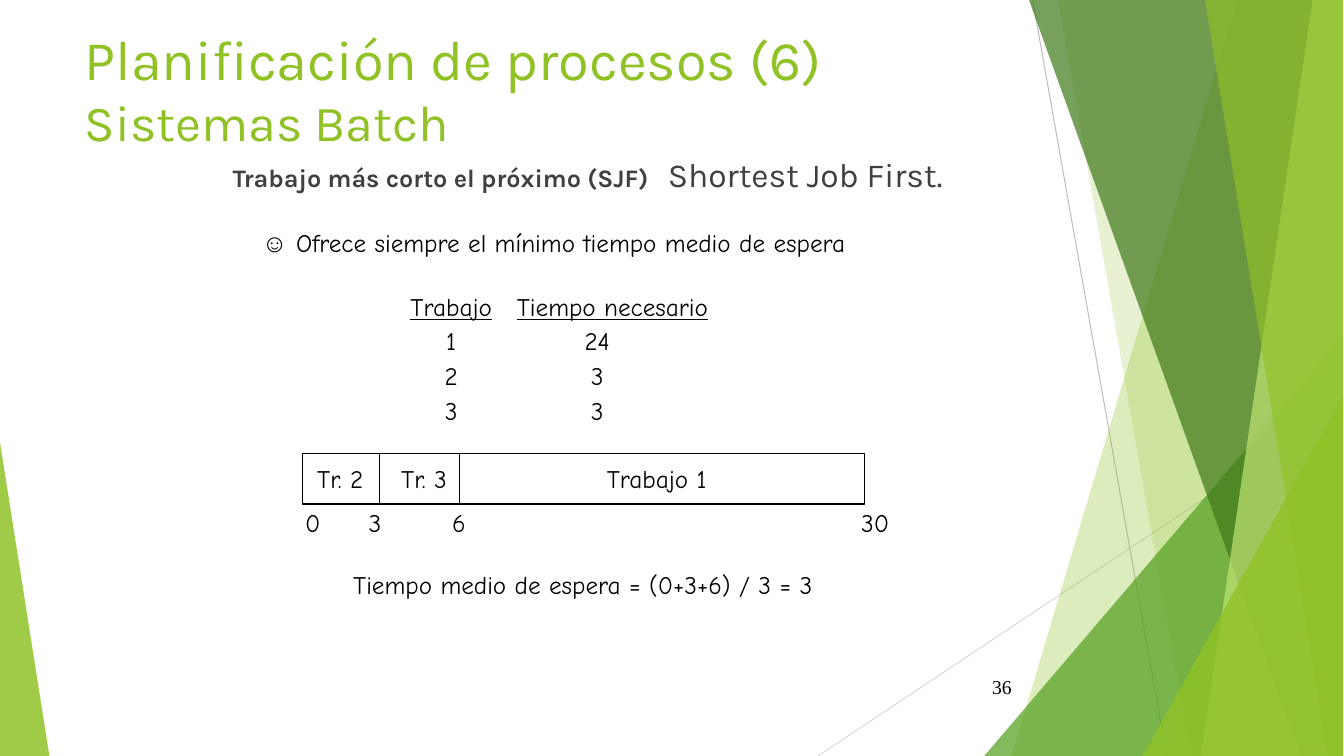
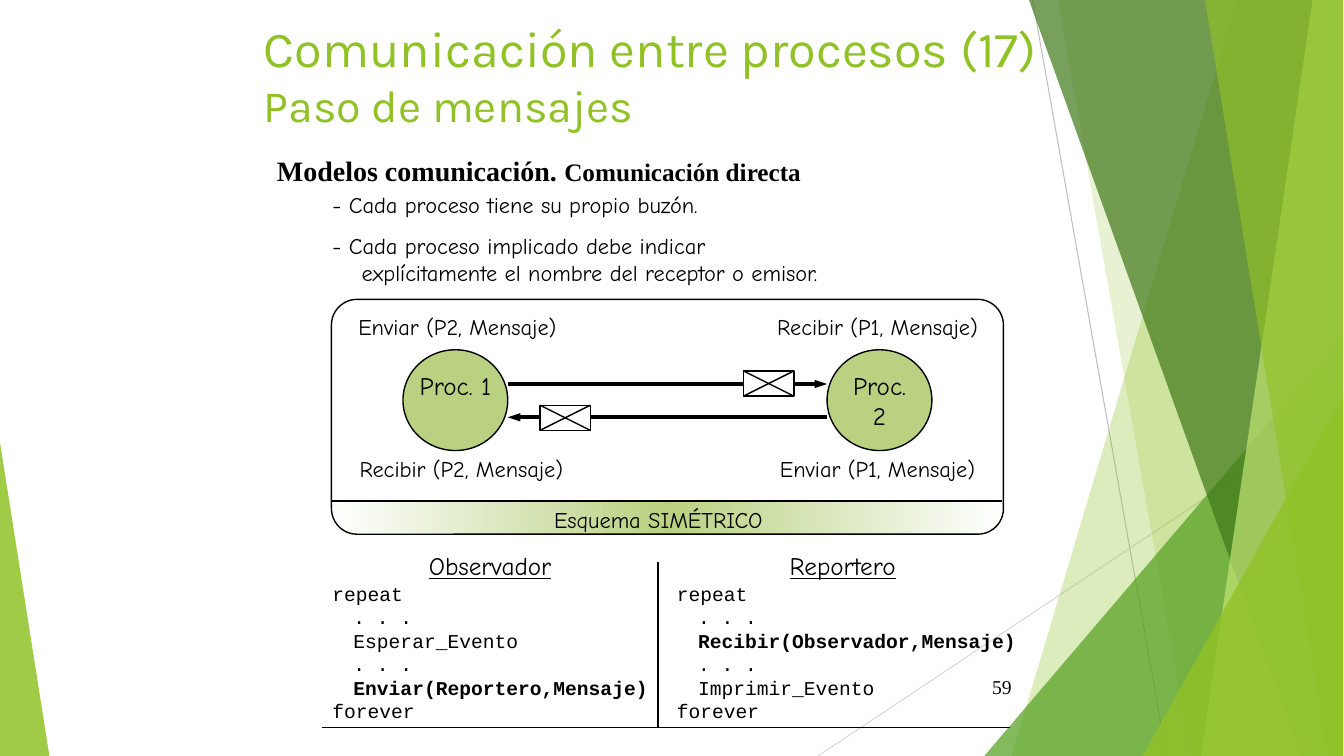
from copy import deepcopy
from dataclasses import dataclass, field
from typing import Any, NamedTuple

from pptx import Presentation
from pptx.dml.color import RGBColor
from pptx.enum.shapes import MSO_CONNECTOR, MSO_SHAPE
from pptx.enum.text import MSO_ANCHOR as Anchor, MSO_AUTO_SIZE, PP_ALIGN as Align
from pptx.oxml import parse_xml
from pptx.oxml.ns import nsdecls, qn
from pptx.oxml.xmlchemy import OxmlElement
from pptx.util import Pt

# Scale: 100 px to the inch
PX = 9144
WIDTH, HEIGHT = 1334, 750

# Colours
BLACK = RGBColor(0x00, 0x00, 0x00)
WHITE = RGBColor(0xFF, 0xFF, 0xFF)
GREY = RGBColor(0x40, 0x40, 0x40)
RULE_DARK = RGBColor(0xBF, 0xBF, 0xBF)
RULE_LIGHT = RGBColor(0xD9, 0xD9, 0xD9)
LIME = RGBColor(0x90, 0xC2, 0x26)
PALE_LIME = RGBColor(0xC0, 0xE4, 0x74)
GREEN = RGBColor(0x54, 0xA0, 0x21)
DARK_GREEN = RGBColor(0x3F, 0x78, 0x19)
OLIVE = RGBColor(0xB9, 0xD1, 0x81)

# Fonts
KARLA, COMIC, SERIF, MONO = "Karla", "Comic Neue", "Times New Roman", "Courier New"


class Box(NamedTuple):
    left: int
    top: int
    width: int
    height: int

    def emu(self) -> list[int]:
        return [value * PX for value in self]


class Run(NamedTuple):
    text: str
    formats: dict[str, Any] = {}


class Facet(NamedTuple):
    """Slanted band that reaches the right edge."""
    top_x: int
    bottom_x: int
    color: RGBColor
    alpha: int


class Corner(NamedTuple):
    """Right triangle whose apex sits at one end of its top."""
    box: Box
    apex: float
    color: RGBColor
    alpha: int


@dataclass
class Style:
    size: int = 18
    name: str = COMIC
    color: RGBColor = BLACK
    align: Align = Align.LEFT
    anchor: Anchor = Anchor.TOP
    space_before: float = 0
    line_spacing: float = 1.0
    hanging: int = 0
    tabs: list[tuple[int, str]] = field(default_factory=list)


BACKGROUND = [
    Facet(1228, 1004, LIME, 30),
    Facet(1050, 1182, LIME, 20),
    Corner(Box(977, 333, 356, 417), 1, GREEN, 72),
    Facet(1021, 1291, DARK_GREEN, 70),
    Facet(1303, 1192, PALE_LIME, 70),
    Facet(1196, 1318, LIME, 65),
    Corner(Box(1134, 393, 199, 357), 1, LIME, 80),
    Corner(Box(0, 439, 49, 311), 0, LIME, 85),
]
CENTRED = Style(align=Align.CENTER)
LABEL = Style(size=16, align=Align.CENTER)


# Text
def set_indents(properties, style: Style) -> None:
    """Set tab stops, or margins where there are none: an indent resets the stops."""
    if not style.tabs:
        properties.set("marL", str(style.hanging * PX))
        properties.set("indent", str(-style.hanging * PX))
        properties.append(OxmlElement("a:buNone"))
        return
    tab_list = OxmlElement("a:tabLst")
    for position, kind in style.tabs:
        tab = OxmlElement("a:tab")
        tab.set("pos", str(position * PX))
        tab.set("algn", kind)
        tab_list.append(tab)
    properties.append(tab_list)


def write(shape, paragraphs: list[list[Run]], style: Style) -> None:
    """Fill a text frame; a vertical tab in a run breaks the line."""
    frame = shape.text_frame
    frame.word_wrap = True
    frame.auto_size = MSO_AUTO_SIZE.NONE
    frame.vertical_anchor = style.anchor
    for index, runs in enumerate(paragraphs):
        paragraph = frame.add_paragraph() if index else frame.paragraphs[0]
        set_indents(paragraph._p.get_or_add_pPr(), style)
        paragraph.alignment = style.align
        paragraph.line_spacing = style.line_spacing
        paragraph.space_before = Pt(style.space_before if index else 0)
        for text, formats in runs:
            for part, piece in enumerate(text.split("\v")):
                if part:
                    paragraph.add_line_break()
                    paragraph._p[-1].insert(0, deepcopy(run._r.rPr))
                run = paragraph.add_run()
                run.text = piece
                values = {"size": Pt(style.size), "name": style.name, **formats}
                for name, value in values.items():
                    setattr(run.font, name, value)
                run.font.color.rgb = style.color


def add_text(slide, box: Box, paragraphs: list[list[Run]], style: Style) -> None:
    write(slide.shapes.add_textbox(*box.emu()), paragraphs, style)


def add_line_of_text(slide, box: Box, text: str, style: Style, **formats: Any) -> None:
    add_text(slide, box, [[Run(text, formats)]], style)


def place(placeholder, box: Box, paragraphs: list[list[Run]], style: Style) -> None:
    names = ("left", "top", "width", "height")
    for name, value in zip(names, box.emu()):
        setattr(placeholder, name, value)
    write(placeholder, paragraphs, style)


# Shapes
def paint(shape, fill: RGBColor | None, line: RGBColor | None, alpha: int = 100) -> None:
    shape.shadow.inherit = False
    if fill is None:
        shape.fill.background()
    else:
        shape.fill.solid()
        shape.fill.fore_color.rgb = fill
        if alpha < 100:
            opacity = OxmlElement("a:alpha")
            opacity.set("val", str(alpha * 1000))
            shape.element.spPr.find(qn("a:solidFill"))[0].append(opacity)
    if line is None:
        shape.line.fill.background()
    else:
        shape.line.color.rgb = line
        shape.line.width = Pt(1)


def add_shape(slide, kind: MSO_SHAPE, box: Box, fill: RGBColor | None = None,
              line: RGBColor | None = BLACK, alpha: int = 100,
              adjustment: float | None = None):
    shape = slide.shapes.add_shape(kind, *box.emu())
    if adjustment is not None:
        shape.adjustments[0] = adjustment
    paint(shape, fill, line, alpha)
    return shape


def add_line(slide, start: tuple[int, int], end: tuple[int, int],
             color: RGBColor = BLACK, width: float = 1, arrow: bool = False) -> None:
    points = [value * PX for value in (*start, *end)]
    connector = slide.shapes.add_connector(MSO_CONNECTOR.STRAIGHT, *points)
    connector.line.color.rgb = color
    connector.line.width = Pt(width)
    properties = connector.element.spPr
    if arrow:
        head = OxmlElement("a:tailEnd")
        for name, value in {"type": "triangle", "w": "sm", "len": "med"}.items():
            head.set(name, value)
        properties.find(qn("a:ln")).append(head)
    properties.append(OxmlElement("a:effectLst"))


def add_envelope(slide, box: Box) -> None:
    right, bottom = box.left + box.width, box.top + box.height
    add_shape(slide, MSO_SHAPE.RECTANGLE, box, WHITE)
    add_line(slide, (box.left, bottom), (right, box.top))
    add_line(slide, (box.left, box.top), (right, bottom))


def add_gradient_band(slide, box: Box) -> None:
    band = add_shape(slide, MSO_SHAPE.RECTANGLE, box, WHITE, None)
    stops = "".join(
        f'<a:gs pos="{position * 1000}"><a:srgbClr val="{color}"/></a:gs>'
        for position, color in ((0, WHITE), (50, OLIVE), (100, WHITE)))
    gradient = parse_xml(f'<a:gradFill {nsdecls("a")} rotWithShape="1"><a:gsLst>{stops}'
                         '</a:gsLst><a:lin ang="0" scaled="0"/></a:gradFill>')
    properties = band.element.spPr
    properties.replace(properties.find(qn("a:solidFill")), gradient)


# Shared parts
def build_background(slide, layout) -> None:
    """Draw the facets once and hand them to the layout."""
    before = len(slide.shapes)
    add_line(slide, (1025, 0), (1158, HEIGHT), RULE_DARK, 0.75)
    add_line(slide, (1333, 403), (812, HEIGHT), RULE_LIGHT, 0.75)
    for part in BACKGROUND:
        if isinstance(part, Corner):
            add_shape(slide, MSO_SHAPE.ISOSCELES_TRIANGLE, part.box, part.color,
                      None, part.alpha, part.apex)
        else:
            builder = slide.shapes.build_freeform(part.top_x, -1, scale=PX)
            builder.add_line_segments(
                [(1333, -1), (1333, HEIGHT), (part.bottom_x, HEIGHT)], close=True)
            paint(builder.convert_to_shape(), part.color, None, part.alpha)
    for index, shape in enumerate(list(slide.shapes)[before:]):
        shape.element.xpath(".//p:cNvPr")[0].set("id", str(100 + index))
        layout.shapes.element.insert(2 + index, shape.element)


def set_title(slide, box: Box, title: str, subtitle: str, size: int) -> None:
    runs = [Run(title + "\v"), Run(subtitle, {"size": Pt(size - 4)})]
    place(slide.shapes.title, box, [runs], Style(size, KARLA, LIME))


def add_slide_number(slide, number: int) -> None:
    style = Style(14, SERIF, align=Align.RIGHT, anchor=Anchor.MIDDLE)
    add_line_of_text(slide, Box(939, 661, 75, 40), str(number), style)


# Slide contents
def build_scheduling(slide) -> None:
    set_title(slide, Box(74, 19, 940, 144),
              "Planificación de procesos (6)", "Sistemas Batch", 40)
    add_text(slide, Box(221, 152, 925, 59),
             [[Run("Trabajo más corto el próximo (SJF)\t", {"bold": True}),
               Run("Shortest Job First.", {"size": Pt(24)})]],
             Style(18, KARLA, GREY, line_spacing=0.9, tabs=[(432, "l")]))
    add_slide_number(slide, 36)
    place(slide.placeholders[1], Box(250, 221, 691, 40),
          [[Run("☺", {"name": "Arial"}),
            Run(" Ofrece siempre el mínimo tiempo medio de espera")]], Style())

    # Jobs and their times
    underlined = {"underline": True}
    add_text(slide, Box(375, 284, 422, 40),
             [[Run("\t"), Run("Trabajo", underlined), Run("\t"),
               Run("Tiempo necesario", underlined)]],
             Style(tabs=[(63, "ctr"), (223, "ctr")]))
    times = [(1, 24), (2, 3), (3, 3)]
    add_text(slide, Box(375, 318, 422, 110),
             [[Run(f"\t{job}\t{time}")] for job, time in times],
             Style(space_before=3.4, tabs=[(63, "ctr"), (208, "ctr")]))

    # Timeline
    add_shape(slide, MSO_SHAPE.RECTANGLE, Box(300, 450, 558, 50))
    for x in (377, 456):
        add_line(slide, (x, 449), (x, 500), width=0.75)
    add_line_of_text(slide, Box(305, 455, 487, 40), "Tr. 2\tTr. 3\tTrabajo 1",
                     Style(tabs=[(106, "ctr"), (337, "ctr")]))
    add_line_of_text(slide, Box(293, 498, 807, 40), "0\t3\t6\t30",
                     Style(tabs=[(63, "l"), (146, "l"), (552, "l")]))
    add_line_of_text(slide, Box(301, 560, 555, 40),
                     "Tiempo medio de espera = (0+3+6) / 3 = 3", CENTRED)


def build_messages(slide) -> None:
    set_title(slide, Box(252, 12, 850, 125),
              "Comunicación entre procesos (17)", "Paso de mensajes", 36)
    place(slide.placeholders[1], Box(320, 185, 558, 104),
          [[Run("- Cada proceso tiene su propio buzón.")],
           [Run("- Cada proceso implicado debe indicar\v"
                "explícitamente el nombre del receptor o emisor.")]],
          Style(16, space_before=10, hanging=29))
    add_slide_number(slide, 59)
    add_text(slide, Box(265, 147, 600, 44),
             [[Run("Modelos comunicación. ", {"size": Pt(20), "bold": True}),
               Run("Comunicación directa", {"bold": True})]], Style(name=SERIF))

    # Code of both processes; the message call is bold
    programs = [
        ("Observador", 403, Box(320, 572, 335, 150), "Enviar(Reportero,Mensaje)",
         ["repeat", "\t. . .", "\tEsperar_Evento", "\t. . .",
          "\tEnviar(Reportero,Mensaje)", "forever"]),
        ("Reportero", 753, Box(662, 572, 358, 150), "Recibir(Observador,Mensaje)",
         ["repeat", "\t. . .", "\tRecibir(Observador,Mensaje)", "\t. . .",
          "\tImprimir_Evento", "forever"]),
    ]
    for heading, left, box, call, lines in programs:
        add_line_of_text(slide, Box(left, 541, 167, 40), heading, CENTRED, underline=True)
        add_text(slide, box, [[Run(line, {"bold": call in line})] for line in lines],
                 Style(14, MONO, tabs=[(21, "l")]))
    add_line(slide, (653, 558), (653, 722))
    add_line(slide, (320, 722), (1003, 722))

    # Symmetric scheme
    add_gradient_band(slide, Box(329, 497, 666, 33))
    for left, name in ((400, "Proc. 1"), (821, "Proc. 2")):
        add_shape(slide, MSO_SHAPE.OVAL, Box(left, 347, 104, 100), OLIVE)
        add_line_of_text(slide, Box(left + 6, 362, 92, 70), name, CENTRED)
    labels = [
        (Box(330, 306, 248, 37), "Enviar (P2, Mensaje)"),
        (Box(747, 306, 248, 37), "Recibir (P1, Mensaje)"),
        (Box(330, 447, 256, 37), "Recibir (P2, Mensaje)"),
        (Box(747, 447, 248, 37), "Enviar (P1, Mensaje)"),
        (Box(512, 497, 283, 37), "Esquema SIMÉTRICO"),
    ]
    for box, text in labels:
        add_line_of_text(slide, box, text, LABEL)
    for start, end, y in ((504, 821, 381), (821, 504, 414)):
        add_line(slide, (start, y), (end, y), width=3, arrow=True)
    add_shape(slide, MSO_SHAPE.ROUNDED_RECTANGLE, Box(329, 297, 667, 233), adjustment=0.109)
    add_line(slide, (329, 497), (995, 497))
    for left, top in ((738, 368), (536, 402)):
        add_envelope(slide, Box(left, top, 50, 25))


def main() -> None:
    presentation = Presentation()
    presentation.slide_width, presentation.slide_height = WIDTH * PX, HEIGHT * PX
    layout = presentation.slide_layouts[1]
    slides = [presentation.slides.add_slide(layout) for _ in range(2)]
    build_background(slides[0], layout)
    build_scheduling(slides[0])
    build_messages(slides[1])
    presentation.save("out.pptx")


if __name__ == "__main__":
    main()
